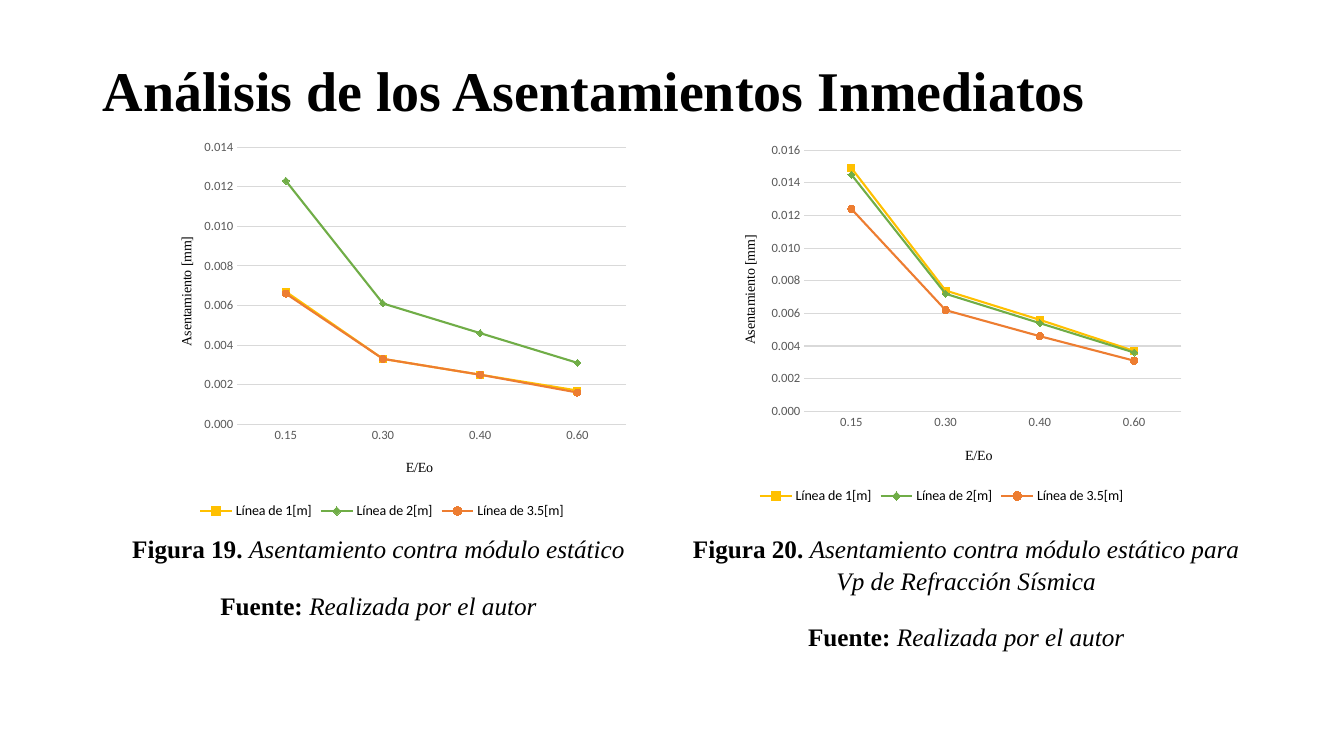
from lxml import etree
from pptx import Presentation
from pptx.chart.data import CategoryChartData
from pptx.dml.color import RGBColor
from pptx.enum.chart import XL_CHART_TYPE as ChartType
from pptx.enum.chart import XL_LEGEND_POSITION as LegendPosition
from pptx.enum.chart import XL_MARKER_STYLE as Marker
from pptx.enum.chart import XL_TICK_MARK as TickMark
from pptx.enum.text import MSO_ANCHOR, MSO_AUTO_SIZE, PP_ALIGN
from pptx.oxml.ns import qn
from pptx.util import Cm, Pt

COLORS = {"text": "000000", "ticks": "595959", "grid": "D9D9D9",
          "yellow": "FFC000", "green": "70AD47", "orange": "ED7D31"}
SERIF, SANS = "Times New Roman", "Calibri"
RATIOS = ["0.15", "0.30", "0.40", "0.60"]
SERIES_STYLES = [("Línea de 1[m]", "yellow", Marker.SQUARE),
                 ("Línea de 2[m]", "green", Marker.DIAMOND),
                 ("Línea de 3.5[m]", "orange", Marker.CIRCLE)]

# Boxes are left, top, width, height in centimetres
TITLE_BOX = (2.34, 1.02, 29.21, 2.67)
FIGURES = [
    {"box": (2.34, 3.2, 14.4, 13.95),
     "chart": (0.58, 0, 13.41, 9.98),
     "plot": (0.228, 0.051, 0.731, 0.7),
     "maximum": 0.014,
     "values": [(0.0067, 0.0033, 0.0025, 0.0017),
                (0.0123, 0.0061, 0.0046, 0.0031),
                (0.0066, 0.0033, 0.0025, 0.0016)],
     "label": "Figura 19. ",
     "caption": "Asentamiento contra módulo estático"},
    {"box": (17.15, 3.2, 14.4, 13.95),
     "chart": (0, 0.1, 13.16, 9.5),
     "plot": (0.237, 0.051, 0.722, 0.693),
     "maximum": 0.016,
     "values": [(0.0149, 0.0074, 0.0056, 0.0037),
                (0.0145, 0.0072, 0.0054, 0.0036),
                (0.0124, 0.0062, 0.0046, 0.0031)],
     "label": "Figura 20. ",
     "caption": "Asentamiento contra módulo estático para Vp de Refracción Sísmica"},
]
CAPTION_TOP = 10.1


def color(name):
    return RGBColor.from_string(COLORS[name])


def style_font(font, name, size, color_name="text", bold=None):
    font.name, font.size, font.bold = name, Pt(size), bold
    font.color.rgb = color(color_name)


def move(shape, box):
    shape.left, shape.top, shape.width, shape.height = map(Cm, box)


def set_layout(parent, index, settings):
    """Give a chart part a manual layout, as its child number index."""
    for old in parent.findall(qn("c:layout")):
        parent.remove(old)
    layout = etree.Element(qn("c:layout"))
    manual = etree.SubElement(layout, qn("c:manualLayout"))
    for tag, value in settings:
        etree.SubElement(manual, qn("c:" + tag)).set("val", str(value))
    parent.insert(index, layout)


def title_axis(axis, text, x, y):
    paragraph = axis.axis_title.text_frame.paragraphs[0]
    paragraph.text = text
    style_font(paragraph.font, SERIF, 10, bold=False)
    set_layout(axis.axis_title._element, 1,
               [("xMode", "edge"), ("yMode", "edge"), ("x", x), ("y", y)])


def style_axes(chart, maximum):
    category_axis, value_axis = chart.category_axis, chart.value_axis
    for axis in (category_axis, value_axis):
        axis.major_tick_mark = axis.minor_tick_mark = TickMark.NONE
        style_font(axis.tick_labels.font, SANS, 9, "ticks")
    title_axis(category_axis, "E/Eo", 0.54, 0.83)
    title_axis(value_axis, "Asentamiento [mm]", 0.11, 0.27)

    value_axis.minimum_scale, value_axis.maximum_scale = 0, maximum
    value_axis.major_unit = 0.002
    value_axis.tick_labels.number_format = "0.000"
    value_axis.tick_labels.number_format_is_linked = False
    value_axis.format.line.fill.background()
    value_axis.has_major_gridlines = True
    for line in (category_axis.format.line, value_axis.major_gridlines.format.line):
        line.color.rgb = color("grid")
        line.width = Pt(0.75)


def style_series(series, color_name, marker):
    series.smooth = False
    series.format.line.color.rgb = color(color_name)
    series.format.line.width = Pt(1.5)
    series.marker.style, series.marker.size = marker, 5
    series.marker.format.fill.solid()
    series.marker.format.fill.fore_color.rgb = color(color_name)
    series.marker.format.line.color.rgb = color(color_name)


def add_settlement_chart(slide, box, figure):
    data = CategoryChartData(number_format="0.000")
    data.categories = RATIOS
    for (name, _, _), values in zip(SERIES_STYLES, figure["values"]):
        data.add_series(name, values)
    chart = slide.shapes.add_chart(ChartType.LINE_MARKERS, *map(Cm, box), data).chart
    style_font(chart.font, SANS, 10)
    chart.has_title = False
    chart.has_legend = True
    chart.legend.position = LegendPosition.BOTTOM
    chart.legend.include_in_layout = False
    style_font(chart.legend.font, SANS, 10)
    chart.plots[0].vary_by_categories = False
    style_axes(chart, figure["maximum"])
    for series, (_, color_name, marker) in zip(chart.plots[0].series, SERIES_STYLES):
        style_series(series, color_name, marker)
    plot_area = chart._chartSpace.find(".//" + qn("c:plotArea"))
    modes = [("layoutTarget", "inner"), ("xMode", "edge"), ("yMode", "edge")]
    set_layout(plot_area, 0, modes + list(zip("xywh", figure["plot"])))


def fill_caption(placeholder, box, lines):
    move(placeholder, box)
    frame = placeholder.text_frame
    frame.auto_size = MSO_AUTO_SIZE.NONE
    frame.vertical_anchor = MSO_ANCHOR.TOP
    for number, (label, text) in enumerate(lines):
        paragraph = frame.add_paragraph() if number else frame.paragraphs[0]
        properties = paragraph._p.get_or_add_pPr()
        properties.set("marL", "0")
        properties.set("indent", "0")
        etree.SubElement(properties, qn("a:buNone"))
        paragraph.alignment = PP_ALIGN.CENTER
        paragraph.line_spacing = 1.03
        paragraph.space_before = Pt(10 if number else 0)
        paragraph.space_after = Pt(8)
        style_font(paragraph.font, SERIF, 18)
        label_run, text_run = paragraph.add_run(), paragraph.add_run()
        label_run.text, text_run.text = label, text
        label_run.font.bold = True
        text_run.font.italic = True


def add_figure(slide, placeholder, figure):
    """Place a chart and its caption inside the figure's box."""
    left, top, width, height = figure["box"]
    chart_left, chart_top, chart_width, chart_height = figure["chart"]
    fill_caption(placeholder, (left, top + CAPTION_TOP, width, height - CAPTION_TOP),
                 [(figure["label"], figure["caption"]),
                  ("Fuente: ", "Realizada por el autor")])
    add_settlement_chart(
        slide, (left + chart_left, top + chart_top, chart_width, chart_height), figure)


def fill_title(title, box, text):
    move(title, box)
    frame = title.text_frame
    frame.text = text
    frame.auto_size = MSO_AUTO_SIZE.NONE
    frame.vertical_anchor = MSO_ANCHOR.MIDDLE
    paragraph = frame.paragraphs[0]
    paragraph.alignment = PP_ALIGN.LEFT
    paragraph.line_spacing = 0.9
    style_font(paragraph.font, SERIF, 40, bold=True)


def main():
    presentation = Presentation()
    presentation.slide_width, presentation.slide_height = Cm(33.87), Cm(19.05)
    two_content = presentation.slide_layouts[3]
    slide = presentation.slides.add_slide(two_content)
    fill_title(slide.shapes.title, TITLE_BOX, "Análisis de los Asentamientos Inmediatos")
    for index, figure in enumerate(FIGURES, start=1):
        add_figure(slide, slide.placeholders[index], figure)
    presentation.save("out.pptx")


if __name__ == "__main__":
    main()
